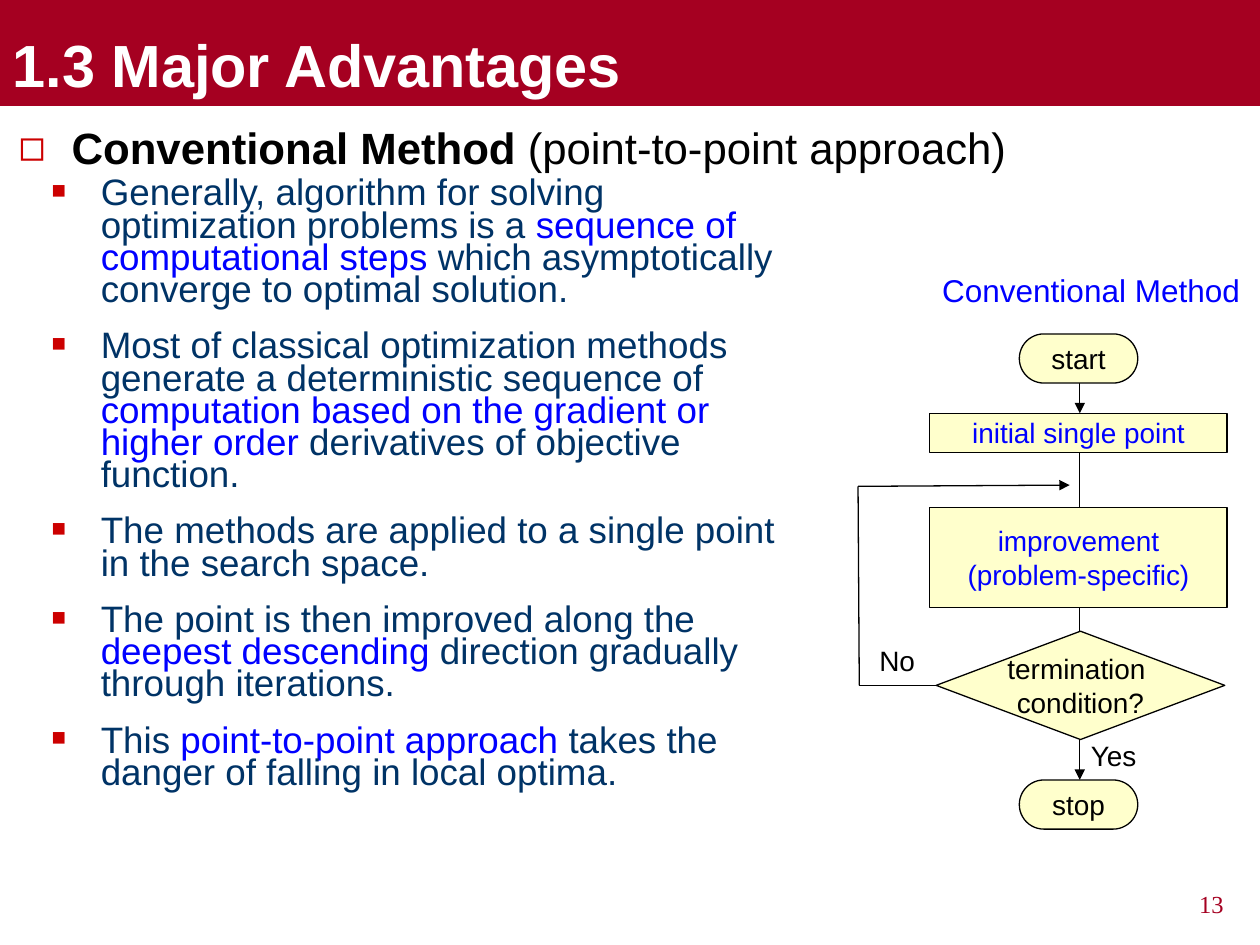
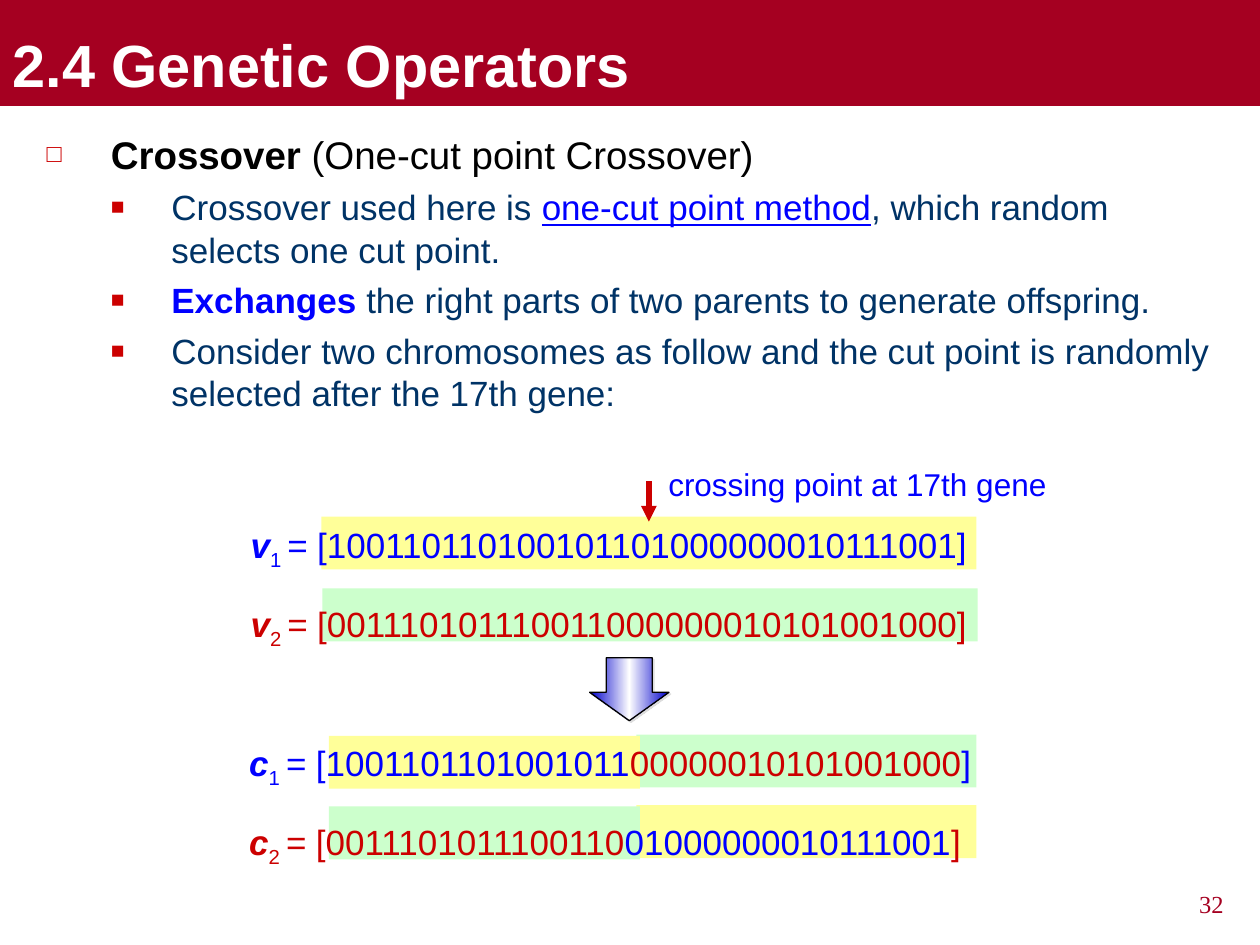
"""Builds two lecture slides: a conventional search flowchart and one-cut point crossover."""
from lxml.etree import SubElement
from pptx import Presentation
from pptx.dml.color import RGBColor
from pptx.enum.shapes import MSO_CONNECTOR as LINK, MSO_SHAPE as SHAPE
from pptx.enum.text import MSO_ANCHOR as ANCHOR, MSO_AUTO_SIZE as FIT, PP_ALIGN as ALIGN
from pptx.oxml import parse_xml
from pptx.oxml.ns import nsdecls, qn
from pptx.util import Pt

PX = 9144
CRIMSON = RGBColor(0xA5, 0x00, 0x21)
RED = RGBColor(0xCC, 0x00, 0x00)
BLUE = RGBColor(0x00, 0x00, 0xFF)
NAVY = RGBColor(0x00, 0x33, 0x66)
BLACK = RGBColor(0x00, 0x00, 0x00)
WHITE = RGBColor(0xFF, 0xFF, 0xFF)
CREAM = RGBColor(0xFF, 0xFF, 0xCC)
YELLOW = RGBColor(0xFF, 0xFF, 0x99)
GREEN = RGBColor(0xCC, 0xFF, 0xCC)

TITLE_BAND = (0, 0, 1000, 84)
NUMBER_BOX = (764, 701, 217, 39)
TITLE = {"size": Pt(34), "bold": True, "color": WHITE}
NUMBER = {"size": Pt(14), "name": "Times New Roman", "color": CRIMSON}
HEADING_1 = {"size": Pt(25), "color": BLACK}
HEADING_2 = {"size": Pt(22), "color": BLACK}
POINT_1 = {"size": Pt(21), "color": NAVY}
POINT_2 = {"size": Pt(20), "color": NAVY}
STEP = {"size": Pt(16), "color": BLACK}
LABEL = {"size": Pt(18), "color": BLUE}
GENES = {"size": Pt(20)}
KEY = {"color": BLUE}
BOLD = {"bold": True}

METHOD_HEADING = [("Conventional Method", BOLD), (" (point-to-point approach)", {})]
METHOD_POINTS = [
    [("Generally, algorithm for solving optimization problems is a ", {}),
     ("sequence of computational steps", KEY),
     (" which asymptotically converge to optimal solution.", {})],
    [("Most of classical optimization methods generate a deterministic sequence of ", {}),
     ("computation based on the gradient or higher order", KEY),
     (" derivatives of objective function.", {})],
    [("The methods are applied to a single point in the search space.", {})],
    [("The point is then improved along the ", {}),
     ("deepest descending", KEY),
     (" direction gradually through iterations.", {})],
    [("This ", {}),
     ("point-to-point approach", KEY),
     (" takes the danger of falling in local optima.", {})],
]
FLOW_STEPS = [
    (SHAPE.ROUNDED_RECTANGLE, (809, 265, 94, 39), ["start"], BLACK),
    (SHAPE.RECTANGLE, (738, 328, 236, 31), ["initial single point"], BLUE),
    (SHAPE.RECTANGLE, (738, 403, 236, 79), ["improvement", "(problem-specific)"], BLUE),
    (SHAPE.FLOWCHART_DECISION, (743, 501, 229, 86), ["termination ", "condition?"], BLACK),
    (SHAPE.ROUNDED_RECTANGLE, (809, 619, 94, 39), ["stop"], BLACK),
]
FLOW_LINES = [
    ((857, 304), (857, 328), True),
    ((857, 359), (857, 403), False),
    ((857, 481), (857, 501), False),
    ((857, 587), (857, 619), True),
    ((743, 544), (682, 544), False),
    ((682, 544), (681, 386), False),
    ((681, 386), (849, 385), True),
]
FLOW_LABELS = [
    ("Conventional Method", (738, 210, 256, 40), LABEL),
    ("Yes", (856, 581, 58, 37), STEP),
    ("No", (688, 506, 48, 37), STEP),
]

CROSSOVER_HEADING = [("Crossover", BOLD), (" (One-cut point Crossover)", {})]
CROSSOVER_POINTS = [
    [("Crossover used here is ", {}),
     ("one-cut point method", {**KEY, "underline": True}),
     (", which random selects one cut point.", {})],
    [("Exchanges", {**KEY, **BOLD}),
     (" the right parts of two parents to generate offspring.", {})],
    [("Consider two chromosomes as follow and the cut point is randomly selected "
      "after the 17th gene:", {})],
]
GENE_BARS = [
    (YELLOW, (255, 410, 520, 42)),
    (GREEN, (256, 467, 520, 42)),
    (GREEN, (505, 583, 270, 42)),
    (YELLOW, (505, 639, 270, 42)),
    (YELLOW, (261, 584, 247, 42)),
    (GREEN, (261, 640, 247, 42)),
]
CHROMOSOMES = [
    ((189, 403, 607, 117), [
        ("v", "1", BLUE, [("[100110110100101101000000010111001]", BLUE)]),
        ("v", "2", RED, [("[001110101110011000000010101001000]", RED)]),
    ]),
    ((188, 576, 607, 117), [
        ("c", "1", BLUE, [("[1001101101001011", BLUE), ("00000010101001000", RED), ("]", BLUE)]),
        ("c", "2", RED, [("[0011101011100110", RED), ("01000000010111001", BLUE), ("]", RED)]),
    ]),
]


def scaled(lengths):
    return [length * PX for length in lengths]


def move(box, area):
    box.left, box.top, box.width, box.height = scaled(area)


def add_bullet(para, char, percent, margin, hang):
    props = para._p.get_or_add_pPr()
    props.set("marL", str(margin * PX))
    props.set("indent", str(-hang * PX))
    color = SubElement(props, qn("a:buClr"))
    SubElement(color, qn("a:srgbClr"), val=str(RED))
    SubElement(props, qn("a:buSzPct"), val=str(percent * 1000))
    SubElement(props, qn("a:buFont"), typeface="Arial")
    SubElement(props, qn("a:buChar"), char=char)


def write(para, spans, base, **layout):
    for name, value in layout.items():
        setattr(para, name, value)
    for text, extra in spans:
        span = para.add_run()
        span.text = text
        style = {"name": "Arial", "bold": False, **base, **extra}
        span.font.color.rgb = style.pop("color")
        baseline = style.pop("baseline", None)
        if baseline:
            span._r.get_or_add_rPr().set("baseline", str(baseline))
        for name, value in style.items():
            setattr(span.font, name, value)


def fill_frame(box, paragraphs, base, wrap=True, anchor=ANCHOR.TOP, **layout):
    frame = box.text_frame
    frame.auto_size, frame.word_wrap, frame.vertical_anchor = FIT.NONE, wrap, anchor
    for index, spans in enumerate(paragraphs):
        para = frame.add_paragraph() if index else frame.paragraphs[0]
        write(para, spans, base, **layout)
    return frame.paragraphs


def add_text(page, area, paragraphs, base, **layout):
    return fill_frame(page.shapes.add_textbox(*scaled(area)), paragraphs, base, **layout)


def add_block(page, kind, area, color, outlined=False):
    block = page.shapes.add_shape(kind, *scaled(area))
    block.shadow.inherit = False
    block.fill.solid()
    block.fill.fore_color.rgb = color
    if outlined:
        block.line.color.rgb, block.line.width = BLACK, Pt(0.75)
    else:
        block.line.fill.background()
    return block


def add_line(page, start, end, arrow, color=BLACK, width=0.75):
    line = page.shapes.add_connector(LINK.STRAIGHT, *scaled(start + end))
    line.line.color.rgb, line.line.width = color, Pt(width)
    props = line.element.spPr
    if arrow:
        SubElement(props.find(qn("a:ln")), qn("a:tailEnd"), type="triangle")
    SubElement(props, qn("a:effectLst"))


def add_page(deck, title, number, body_area):
    page = deck.slides.add_slide(deck.slide_layouts[1])
    heading, body = page.placeholders
    move(heading, TITLE_BAND)
    heading.fill.solid()
    heading.fill.fore_color.rgb = CRIMSON
    fill_frame(heading, [[(title, {})]], TITLE, anchor=ANCHOR.BOTTOM, alignment=ALIGN.LEFT)
    move(body, body_area)
    add_text(page, NUMBER_BOX, [[(number, {})]], NUMBER, alignment=ALIGN.RIGHT)
    return page, body


def build_method(deck):
    page, body = add_page(deck, "1.3 Major Advantages", "13", (11, 138, 631, 543))
    for para in fill_frame(body, METHOD_POINTS, POINT_1, level=1,
                           line_spacing=0.73, space_before=Pt(13.8)):
        add_bullet(para, "■", 65, 59, 39)
    [para] = add_text(page, (5, 91, 813, 52), [METHOD_HEADING], HEADING_1)
    add_bullet(para, "◻", 100, 42, 42)
    for start, end, arrow in FLOW_LINES:
        add_line(page, start, end, arrow)
    for kind, area, lines, color in FLOW_STEPS:
        block = add_block(page, kind, area, CREAM, outlined=True)
        if kind == SHAPE.ROUNDED_RECTANGLE:
            block.adjustments[0] = 0.5
        fill_frame(block, [[(line, {"color": color})] for line in lines], STEP,
                   wrap=False, anchor=ANCHOR.MIDDLE, alignment=ALIGN.CENTER)
    for text, area, style in FLOW_LABELS:
        add_text(page, area, [[(text, {})]], style, wrap=False)


def add_result_arrow(page):
    arrow = add_block(page, SHAPE.DOWN_ARROW, (468, 522, 63, 50), BLUE, outlined=True)
    arrow.adjustments[0], arrow.adjustments[1] = 0.58, 0.45
    props = arrow.element.spPr
    stops = "".join(f'<a:gs pos="{pos}"><a:srgbClr val="{color}"/></a:gs>'
                    for pos, color in ((0, "0000CC"), (50000, "FFFFFF"), (100000, "0000CC")))
    gradient = parse_xml(f'<a:gradFill {nsdecls("a")}><a:gsLst>{stops}</a:gsLst>'
                         '<a:lin ang="0" scaled="0"/></a:gradFill>')
    props.replace(props.find(qn("a:solidFill")), gradient)
    shadow = SubElement(props.find(qn("a:effectLst")), qn("a:outerShdw"),
                        dist=str(Pt(1.4)), dir="2700000")
    SubElement(shadow, qn("a:srgbClr"), val="DDDDDD")


def chromosome_spans(letter, index, color, parts):
    own = {"color": color}
    return [(letter, {**own, "bold": True, "italic": True}),
            (index + " ", {**own, "baseline": -25000}),
            ("= ", {**own, "italic": True}),
            *((genes, {"color": shade}) for genes, shade in parts)]


def build_crossover(deck):
    page, body = add_page(deck, "2.4 Genetic Operators", "32", (27, 99, 945, 591))
    first, *rest = fill_frame(body, [CROSSOVER_HEADING, *CROSSOVER_POINTS], POINT_2,
                              space_before=Pt(5))
    first.space_before = Pt(5.5)
    for span in first.runs:
        span.font.size, span.font.color.rgb = HEADING_2["size"], HEADING_2["color"]
    add_bullet(first, "□", 65, 51, 51)
    for para in rest:
        para.level = 1
        add_bullet(para, "■", 65, 99, 48)
    for color, area in GENE_BARS:
        add_block(page, SHAPE.RECTANGLE, area, color)
    for area, rows in CHROMOSOMES:
        paras = add_text(page, area, [chromosome_spans(*row) for row in rows], GENES,
                         line_spacing=1.2)
        paras[1].space_before = Pt(12.5)
    add_line(page, (515, 382), (515, 414), True, RED, 3)
    add_result_arrow(page)
    add_text(page, (498, 364, 365, 40), [[("crossing point at 17th gene", {})]], LABEL,
             anchor=ANCHOR.MIDDLE, alignment=ALIGN.CENTER)


def main():
    deck = Presentation()
    deck.slide_width, deck.slide_height = scaled((1000, 750))
    build_method(deck)
    build_crossover(deck)
    deck.save("out.pptx")


if __name__ == "__main__":
    main()
